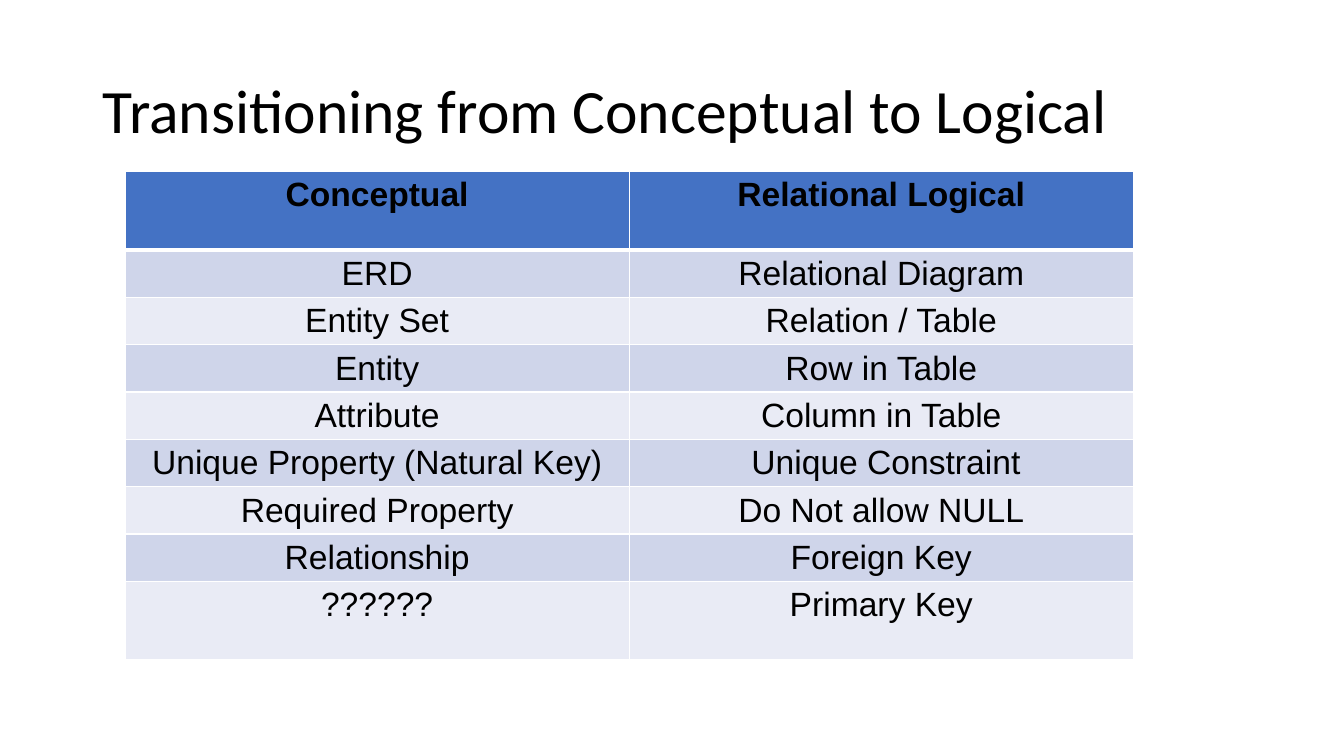
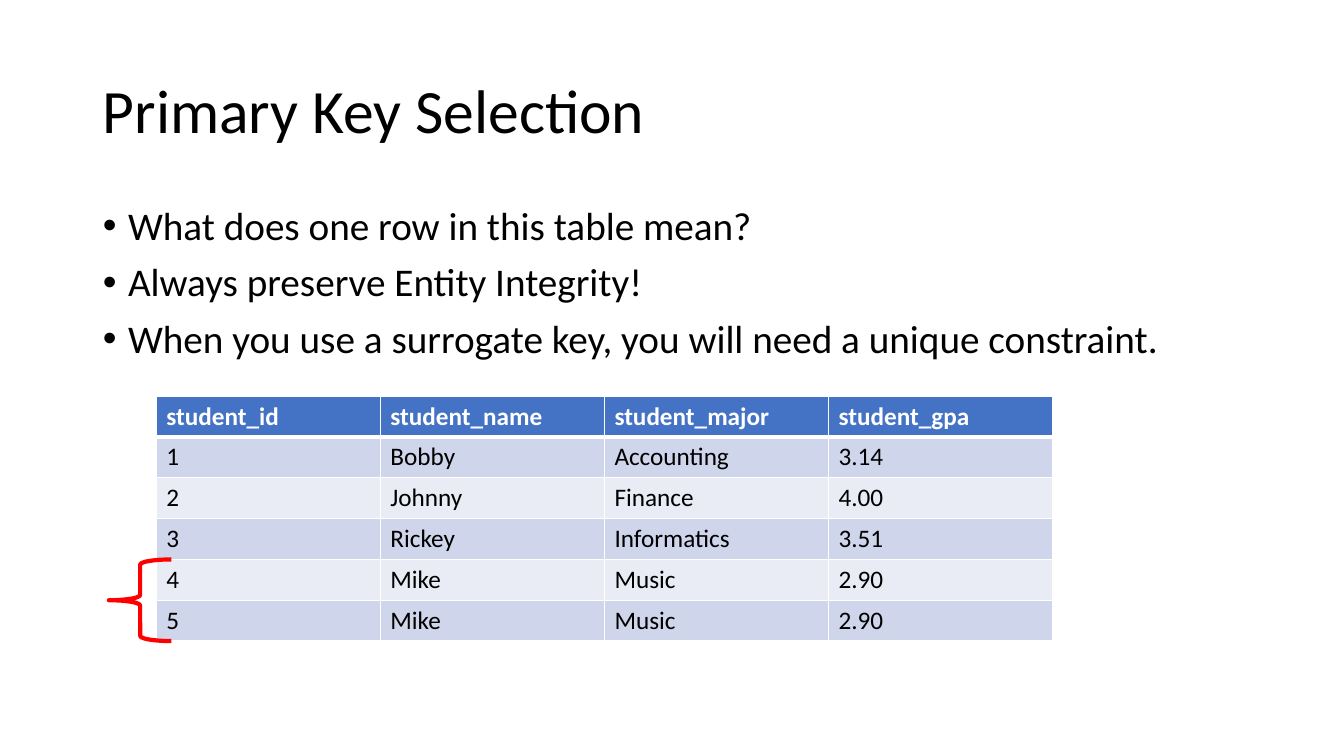
from dataclasses import dataclass

from lxml import etree
from pptx import Presentation
from pptx.dml.color import RGBColor
from pptx.enum.shapes import MSO_SHAPE
from pptx.enum.text import MSO_ANCHOR, MSO_AUTO_SIZE, PP_ALIGN
from pptx.oxml.ns import qn
from pptx.util import Inches, Pt

LEFT, CENTER = PP_ALIGN.LEFT, PP_ALIGN.CENTER
MIDDLE, TOP = MSO_ANCHOR.MIDDLE, MSO_ANCHOR.TOP
NO_AUTOFIT = MSO_AUTO_SIZE.NONE
LEFT_BRACE = MSO_SHAPE.LEFT_BRACE
TITLE_AND_CONTENT, TITLE_ONLY = 1, 5


@dataclass(frozen=True)
class Theme:
    black: str = "000000"
    white: str = "FFFFFF"
    header: str = "4472C4"
    bands: tuple = ("CFD5EA", "E9EBF5")
    accent: str = "FF0000"
    font: str = "Calibri"
    table_font: str = "Arial"
    title_size: int = 44
    body_size: int = 28
    mapping_size: int = 24
    data_size: int = 18
    rule: int = 1
    heavy_rule: int = 3


T = Theme()

# Content
MAPPING_TITLE = "Transitioning from Conceptual to Logical"
MAPPING = [
    ("Conceptual", "Relational Logical"),
    ("ERD", "Relational Diagram"),
    ("Entity Set", "Relation / Table"),
    ("Entity", "Row in Table"),
    ("Attribute", "Column in Table"),
    ("Unique Property (Natural Key)", " Unique Constraint"),
    ("Required Property", "Do Not allow NULL"),
    ("Relationship", "Foreign Key"),
    ("??????", "Primary Key"),
]
KEY_TITLE = "Primary Key Selection"
KEY_POINTS = [
    "What does one row in this table mean?",
    "Always preserve Entity Integrity!",
    "When you use a surrogate key, you will need a unique constraint.",
]
STUDENTS = [
    ("student_id", "student_name", "student_major", "student_gpa"),
    ("1", "Bobby", "Accounting", "3.14"),
    ("2", "Johnny", "Finance", "4.00"),
    ("3", "Rickey", "Informatics", "3.51"),
    ("4", "Mike", "Music", "2.90"),
    ("5", "Mike", "Music", "2.90"),
]
DUPLICATE_ROWS = (4, 5)


def add_run(p, text, size, color=T.black, font=T.font, bold=False):
    r = p.add_run()
    r.text = text
    r.font.size, r.font.name, r.font.bold = Pt(size), font, bold
    r.font.color.rgb = RGBColor.from_string(color)


def place(sp, left, top, width, height):
    sp.left, sp.top = Inches(left), Inches(top)
    sp.width, sp.height = Inches(width), Inches(height)


def new_slide(prs, layout, title):
    s = prs.slides.add_slide(prs.slide_layouts[layout])
    place(s.shapes.title, 0.92, 0.4, 11.5, 1.45)
    tf = s.shapes.title.text_frame
    tf.auto_size, tf.vertical_anchor = NO_AUTOFIT, MIDDLE
    p = tf.paragraphs[0]
    p.alignment, p.line_spacing = LEFT, 0.9
    add_run(p, title, T.title_size)
    return s


def add_bullets(sp, points):
    place(sp, 0.92, 2, 11.5, 4.76)
    tf = sp.text_frame
    tf.auto_size, tf.vertical_anchor = NO_AUTOFIT, TOP
    for i, text in enumerate(points):
        p = tf.add_paragraph() if i else tf.paragraphs[0]
        p.line_spacing, p.space_before = 0.9, Pt(10)
        add_run(p, text, T.body_size)
        pPr = p._p.get_or_add_pPr()
        pPr.set("marL", str(Inches(0.25)))
        pPr.set("indent", str(Inches(-0.25)))
        etree.SubElement(pPr, qn("a:buFont")).set("typeface", "Arial")
        etree.SubElement(pPr, qn("a:buChar")).set("char", "•")


def set_borders(cell, row):
    # The heavy rule lies between the header and the first data row
    top = T.heavy_rule if row == 1 else T.rule
    bottom = T.heavy_rule if row == 0 else T.rule
    tcPr = cell._tc.get_or_add_tcPr()
    for tag, width in (("lnL", T.rule), ("lnR", T.rule), ("lnT", top), ("lnB", bottom)):
        ln = etree.SubElement(tcPr, qn("a:" + tag), w=str(Pt(width)))
        fill = etree.SubElement(ln, qn("a:solidFill"))
        etree.SubElement(fill, qn("a:srgbClr"), val=T.white)


def add_grid(s, rows, left, top, width, heights, size, font, header_color, align):
    n_cols = len(rows[0])
    frame = s.shapes.add_table(len(rows), n_cols, Inches(left), Inches(top),
                               Inches(width), Inches(sum(heights)))
    table = frame.table
    for col in table.columns:
        col.width = Inches(width / n_cols)
    for i, (texts, height) in enumerate(zip(rows, heights)):
        table.rows[i].height = Inches(height)
        is_header = i == 0
        for j, text in enumerate(texts):
            cell = table.cell(i, j)
            set_borders(cell, i)
            cell.fill.solid()
            color = T.header if is_header else T.bands[(i - 1) % 2]
            cell.fill.fore_color.rgb = RGBColor.from_string(color)
            cell.margin_top, cell.margin_bottom = Inches(0.05), Inches(0.03)
            p = cell.text_frame.paragraphs[0]
            p.alignment = align
            add_run(p, text, size, header_color if is_header else T.black, font, is_header)


def mapping_slide(prs):
    s = new_slide(prs, TITLE_ONLY, MAPPING_TITLE)
    # First and last rows are taller
    heights = [0.78] + [0.47] * (len(MAPPING) - 2) + [0.78]
    add_grid(s, MAPPING, 1.24, 1.7, 10, heights, T.mapping_size, T.table_font,
             T.black, CENTER)


def key_slide(prs):
    s = new_slide(prs, TITLE_AND_CONTENT, KEY_TITLE)
    add_bullets(s.placeholders[1], KEY_POINTS)
    top, row_height = 3.93, 2.43 / len(STUDENTS)
    add_grid(s, STUDENTS, 1.55, top, 8.89, [row_height] * len(STUDENTS), T.data_size,
             T.font, T.white, LEFT)

    # Brace around the duplicate rows
    brace = s.shapes.add_shape(
        LEFT_BRACE, Inches(1.08), Inches(top + DUPLICATE_ROWS[0] * row_height),
        Inches(0.62), Inches(len(DUPLICATE_ROWS) * row_height))
    brace.shadow.inherit = False
    brace.fill.background()
    brace.line.color.rgb = RGBColor.from_string(T.accent)
    brace.line.width = Pt(3)


def main():
    prs = Presentation()
    prs.slide_width, prs.slide_height = Inches(13.33), Inches(7.5)
    mapping_slide(prs)
    key_slide(prs)
    prs.save("out.pptx")


if __name__ == "__main__":
    main()
